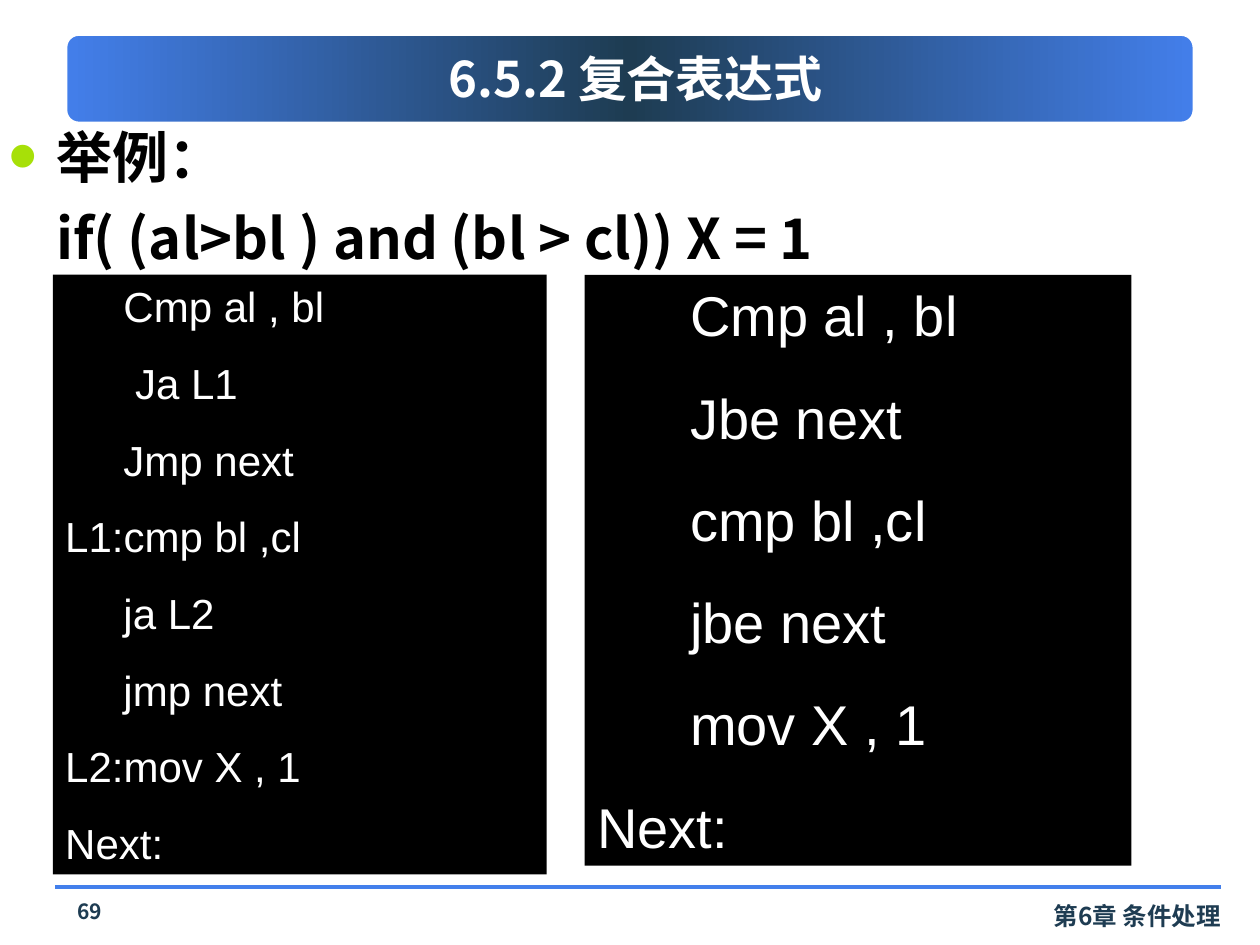
from copy import deepcopy
from pptx import Presentation
from pptx.dml.color import RGBColor
from pptx.enum.shapes import MSO_CONNECTOR as Connector, MSO_SHAPE as Preset
from pptx.enum.text import MSO_ANCHOR as Anchor, PP_ALIGN as Align
from pptx.oxml.ns import qn
from pptx.util import Pt
from lxml.etree import SubElement

COLORS = {name: RGBColor.from_string(value) for name, value in {
    "blue": "437FEB", "navy": "1E3C52", "white": "FFFFFF",
    "black": "000000", "lime": "A7E008"}.items()}
HEADING_FONT = "Noto Sans CJK SC"


def style(paragraph, size, color, align, name=HEADING_FONT, bold=True):
    paragraph.alignment = align
    font = paragraph.font
    font.size, font.bold, font.name = Pt(size), bold, name
    font.color.rgb = COLORS[color]
    properties = paragraph._p.pPr.find(qn("a:defRPr"))
    SubElement(properties, qn("a:ea"), typeface=name)


def place(shape, left, top, width, height):
    shape.left, shape.top = Pt(left), Pt(top)
    shape.width, shape.height = Pt(width), Pt(height)


presentation = Presentation()
presentation.slide_width, presentation.slide_height = Pt(720), Pt(540)
slide = presentation.slides.add_slide(presentation.slide_layouts[1])
shapes = slide.shapes
title, body = shapes.title, slide.placeholders[1]

bar = shapes.add_shape(Preset.ROUNDED_RECTANGLE, Pt(36), Pt(18), Pt(648), Pt(54))
bar.shadow.inherit = False
bar.line.color.rgb = COLORS["white"]
bar.line.width = Pt(5)
bar.fill.gradient()
bar.fill.gradient_angle = 0
first_stop = bar.fill.gradient_stops[0]
stop_list = bar._element.spPr.find(".//" + qn("a:gsLst"))
stop_list.insert(1, deepcopy(stop_list[0]))
for stop, position, color in zip(bar.fill.gradient_stops, (0, 0.5, 1), ("blue", "navy", "blue")):
    stop.position = position
    stop.color.rgb = COLORS[color]

rule = shapes.add_connector(Connector.STRAIGHT, Pt(31.7), Pt(506.9), Pt(697.7), Pt(506.9))
rule.line.color.rgb = COLORS["blue"]
rule.line.width = Pt(2)
SubElement(rule._element.spPr, qn("a:effectLst"))

for text, bounds, size, align in (
        ("第6章 条件处理", (534.2, 511.2, 170.6, 24.5), 14, Align.RIGHT),
        ("69", (30.2, 509.8, 41.8, 23.8), 12, Align.CENTER)):
    label = shapes.add_textbox(*map(Pt, bounds))
    label.text_frame.word_wrap = True
    label.text_frame.text = text
    style(label.text_frame.paragraphs[0], size, "navy", align)

shapes.element.append(title.element)
place(title, 48.2, 20.2, 630, 48.2)
title.text_frame.text = "6.5.2 复合表达式"
title.text_frame.vertical_anchor = Anchor.MIDDLE
style(title.text_frame.paragraphs[0], 28, "white", Align.CENTER)

shapes.element.append(body.element)
place(body, -2.2, 66.2, 723.6, 434.9)
body.text_frame.text = "举例：\nif( (al>bl ) and (bl > cl)) X = 1"
for index, paragraph in enumerate(body.text_frame.paragraphs):
    properties = paragraph._p.get_or_add_pPr()
    properties.set("marL", str(Pt(27)))
    properties.set("indent", str(0 if index else -Pt(27)))
    paragraph.space_before = Pt(8 if index else 0)
    if index:
        SubElement(properties, qn("a:buNone"))
    else:
        bullet_color = SubElement(properties, qn("a:buClr"))
        SubElement(bullet_color, qn("a:srgbClr"), val=str(COLORS["lime"]))
        SubElement(properties, qn("a:buSzPct"), val="150000")
        SubElement(properties, qn("a:buChar"), char="•")
    style(paragraph, 32, "black", Align.JUSTIFY)

LONG_CODE = """\
     Cmp al , bl
      Ja L1
     Jmp next
L1:cmp bl ,cl
     ja L2
     jmp next
L2:mov X , 1
Next:"""
SHORT_CODE = """\
      Cmp al , bl
      Jbe next
      cmp bl ,cl
      jbe next
      mov X , 1
Next:"""
for code, bounds, size, gap in (
        (LONG_CODE, (30.2, 157, 282.2, 342.7), 24, 15),
        (SHORT_CODE, (334.1, 157, 312.5, 337.7), 32, 20)):
    panel = shapes.add_shape(Preset.RECTANGLE, *map(Pt, bounds))
    panel.shadow.inherit = False
    panel.fill.solid()
    panel.fill.fore_color.rgb = COLORS["black"]
    panel.line.fill.background()
    frame = panel.text_frame
    frame.word_wrap = True
    frame.vertical_anchor = Anchor.TOP
    frame.text = code
    for index, paragraph in enumerate(frame.paragraphs):
        paragraph.space_before = Pt(gap if index else 0)
        style(paragraph, size, "white", Align.LEFT, "Arial", False)

presentation.save("out.pptx")
